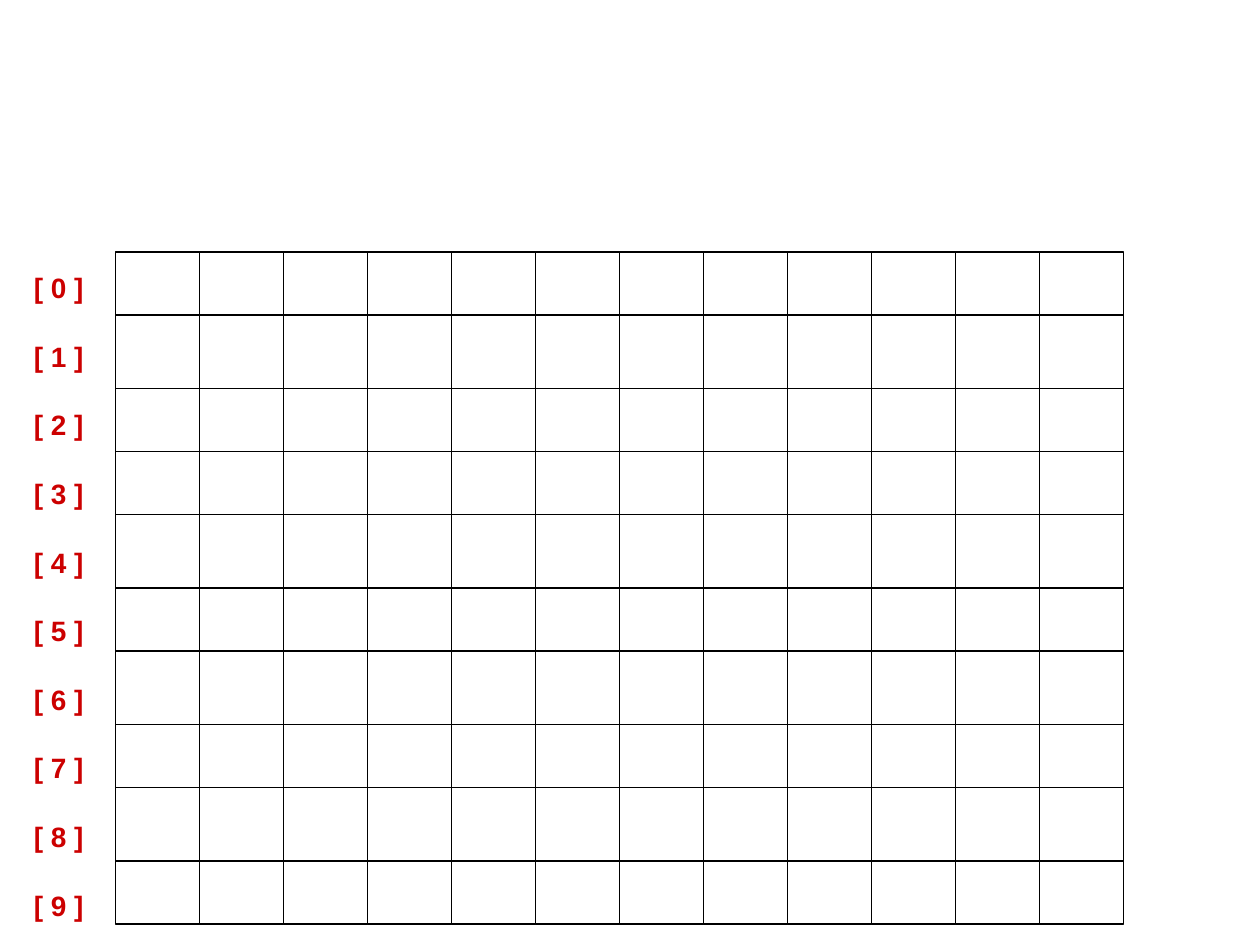
from dataclasses import dataclass
from itertools import accumulate

from lxml import etree
from pptx import Presentation
from pptx import util as u
from pptx.dml.color import RGBColor
from pptx.enum import shapes, text
from pptx.oxml.ns import qn

COLORS = {"grid": "000000", "label": "CC0000"}
UNIT = 1 / 12  # grid step in inches
ROW_UNITS = [6, 7, 6, 6, 7, 6, 7, 6, 7, 6]
COLUMN_COUNT = 12
COLUMN_WIDTH = 8 * UNIT
GRID_LEFT = 11 * UNIT
GRID_TOP = 2.0


@dataclass
class Column:
    left: float
    width: float
    top: float
    row_heights: list[float]


def rgb(name: str) -> RGBColor:
    return RGBColor.from_string(COLORS[name])


def style_line(sp) -> None:
    sp.line.color.rgb = rgb("grid")
    sp.line.width = u.Pt(1)


def draw_column(slide, column: Column) -> None:
    """Draw one array column: an outline and its row dividers."""
    group = slide.shapes.add_group_shape()
    left, right = u.Inches(column.left), u.Inches(column.left + column.width)

    sp = group.shapes.add_shape(
        shapes.MSO_SHAPE.RECTANGLE, left, u.Inches(column.top),
        right - left, u.Inches(sum(column.row_heights)))
    sp.shadow.inherit = False
    sp.fill.background()
    style_line(sp)

    for offset in accumulate(column.row_heights[:-1]):
        y = u.Inches(column.top + offset)
        divider = group.shapes.add_connector(
            shapes.MSO_CONNECTOR.STRAIGHT, left, y, right, y)
        style_line(divider)
        etree.SubElement(divider._element.spPr, qn("a:effectLst"))


def draw_row_labels(slide, count: int) -> None:
    box = slide.shapes.add_textbox(
        u.Inches(0.17), u.Inches(2.1), u.Inches(0.6), u.Inches(5.17))
    tf = box.text_frame
    tf.word_wrap = False
    tf.vertical_anchor = text.MSO_ANCHOR.TOP
    tf.text = "\n".join(f"[ {i} ]" for i in range(count))
    for i, p in enumerate(tf.paragraphs):
        p.space_before = u.Pt(20 if i else 0)
        p.font.name = "Arial"
        p.font.size = u.Pt(16)
        p.font.bold = True
        p.font.color.rgb = rgb("label")


def main() -> None:
    prs = Presentation()
    prs.slide_width, prs.slide_height = u.Inches(10), u.Inches(7.5)
    s = prs.slides.add_slide(prs.slide_layouts[6])

    # Grid columns
    row_heights = [units * UNIT for units in ROW_UNITS]
    for i in range(COLUMN_COUNT):
        left = GRID_LEFT + i * COLUMN_WIDTH
        draw_column(s, Column(left, COLUMN_WIDTH, GRID_TOP, row_heights))

    # Row indexes
    draw_row_labels(s, len(ROW_UNITS))

    prs.save("out.pptx")


if __name__ == "__main__":
    main()
